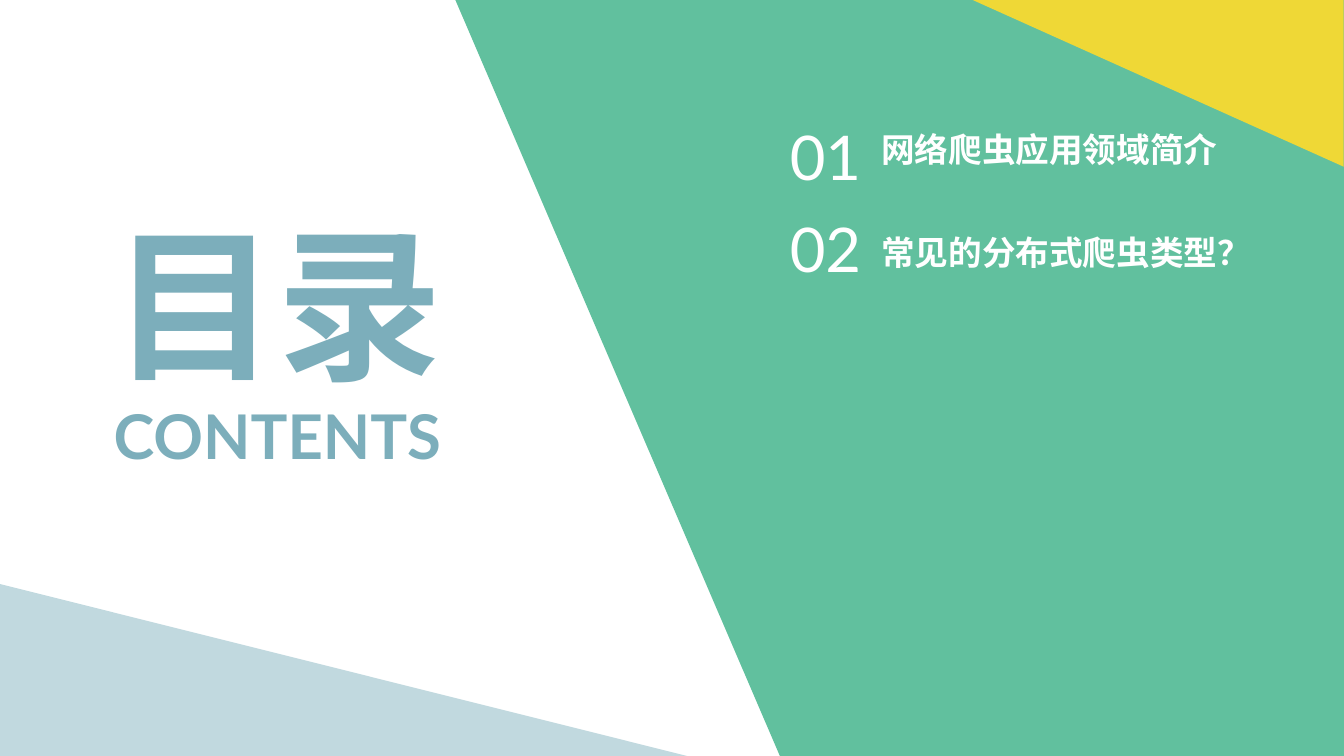
from typing import NamedTuple

from pptx import Presentation
from pptx.dml.color import RGBColor
from pptx.enum.shapes import MSO_SHAPE
from pptx.enum.text import MSO_ANCHOR, PP_ALIGN
from pptx.util import Cm, Pt

RIGHT_TRIANGLE = MSO_SHAPE.RIGHT_TRIANGLE
MIDDLE = MSO_ANCHOR.MIDDLE
LEFT, CENTER = PP_ALIGN.LEFT, PP_ALIGN.CENTER

FONT = "Lato"
COLORS = {
    "green": "61C09E",
    "pale": "C1D9DF",
    "yellow": "EFD836",
    "blue": "7CAEBB",
    "white": "FFFFFF",
}
SLIDE_WIDTH, SLIDE_HEIGHT = 33.88, 19.05


class Area(NamedTuple):
    left: float
    top: float
    width: float
    height: float


class Corner(NamedTuple):
    area: Area
    color: str
    rotation: int


class Entry(NamedTuple):
    number: str
    title: str
    width: float
    line_spacing: float
    bottom_inset: float


CORNERS = [
    Corner(Area(-0.03, 14.71, 17.35, 4.34), "pale", 0),
    Corner(Area(24.52, 0, 9.35, 4.2), "yellow", 180),
]
ENTRIES = [
    Entry("01", "网络爬虫应用领域简介", 10.44, 0.6, 0.51),
    Entry("02", "常见的分布式爬虫类型？", 8.99, 0.9, 0.13),
]
ENTRY_LEFT, ENTRY_TOP, ENTRY_PITCH = 19.66, 3.2, 2.31
NUMBER_WIDTH, NUMBER_HEIGHT = 2.31, 1.8
TITLE_HEIGHT = 1.24


def paint(shape, color: str) -> None:
    shape.shadow.inherit = False
    shape.fill.solid()
    shape.fill.fore_color.rgb = RGBColor.from_string(COLORS[color])
    shape.line.fill.background()


def add_panel(page, points: list[tuple[float, float]], color: str) -> None:
    vertices = [(Cm(x), Cm(y)) for x, y in points]
    builder = page.shapes.build_freeform(*vertices[0])
    builder.add_line_segments(vertices[1:], close=True)
    paint(builder.convert_to_shape(), color)


def add_corner(page, corner: Corner) -> None:
    triangle = page.shapes.add_shape(RIGHT_TRIANGLE, *map(Cm, corner.area))
    triangle.rotation = corner.rotation
    paint(triangle, corner.color)


def add_text(page, text: str, area: Area, *, size: float, color: str = "white",
             bold: bool = False, align: PP_ALIGN = LEFT,
             line_spacing: float = 0.9, bottom_inset: float = 0.13) -> None:
    box = page.shapes.add_textbox(*map(Cm, area))
    frame = box.text_frame
    frame.word_wrap = True
    frame.vertical_anchor = MIDDLE
    frame.margin_bottom = Cm(bottom_inset)
    para = frame.paragraphs[0]
    para.alignment = align
    para.line_spacing = line_spacing
    para.space_before = Pt(10)
    span = para.add_run()
    span.text = text
    span.font.name = FONT
    span.font.size = Pt(size)
    span.font.bold = bold
    span.font.color.rgb = RGBColor.from_string(COLORS[color])


def add_entry(page, entry: Entry, top: float) -> None:
    add_text(page, entry.number,
             Area(ENTRY_LEFT, top, NUMBER_WIDTH, NUMBER_HEIGHT),
             size=44, line_spacing=0.8)
    title_top = top + (NUMBER_HEIGHT - TITLE_HEIGHT) / 2
    add_text(page, entry.title,
             Area(ENTRY_LEFT + NUMBER_WIDTH, title_top, entry.width, TITLE_HEIGHT),
             size=24, bold=True, line_spacing=entry.line_spacing,
             bottom_inset=entry.bottom_inset)


def main() -> None:
    deck = Presentation()
    deck.slide_width, deck.slide_height = Cm(SLIDE_WIDTH), Cm(SLIDE_HEIGHT)
    page = deck.slides.add_slide(deck.slide_layouts[6])

    # Background panel and corner triangles
    add_panel(page, [(11.48, 0), (SLIDE_WIDTH, 0), (SLIDE_WIDTH, SLIDE_HEIGHT),
                     (19.66, SLIDE_HEIGHT)], "green")
    for corner in CORNERS:
        add_corner(page, corner)

    # Heading
    add_text(page, "目录", Area(2.51, 5.59, 8.97, 4.67),
             size=118, color="blue", bold=True, align=CENTER)
    add_text(page, "CONTENTS", Area(2.51, 10.26, 8.97, 1.63),
             size=44, color="blue", bold=True, align=CENTER)

    # Contents entries
    for index, entry in enumerate(ENTRIES):
        add_entry(page, entry, ENTRY_TOP + index * ENTRY_PITCH)

    deck.save("out.pptx")


if __name__ == "__main__":
    main()
